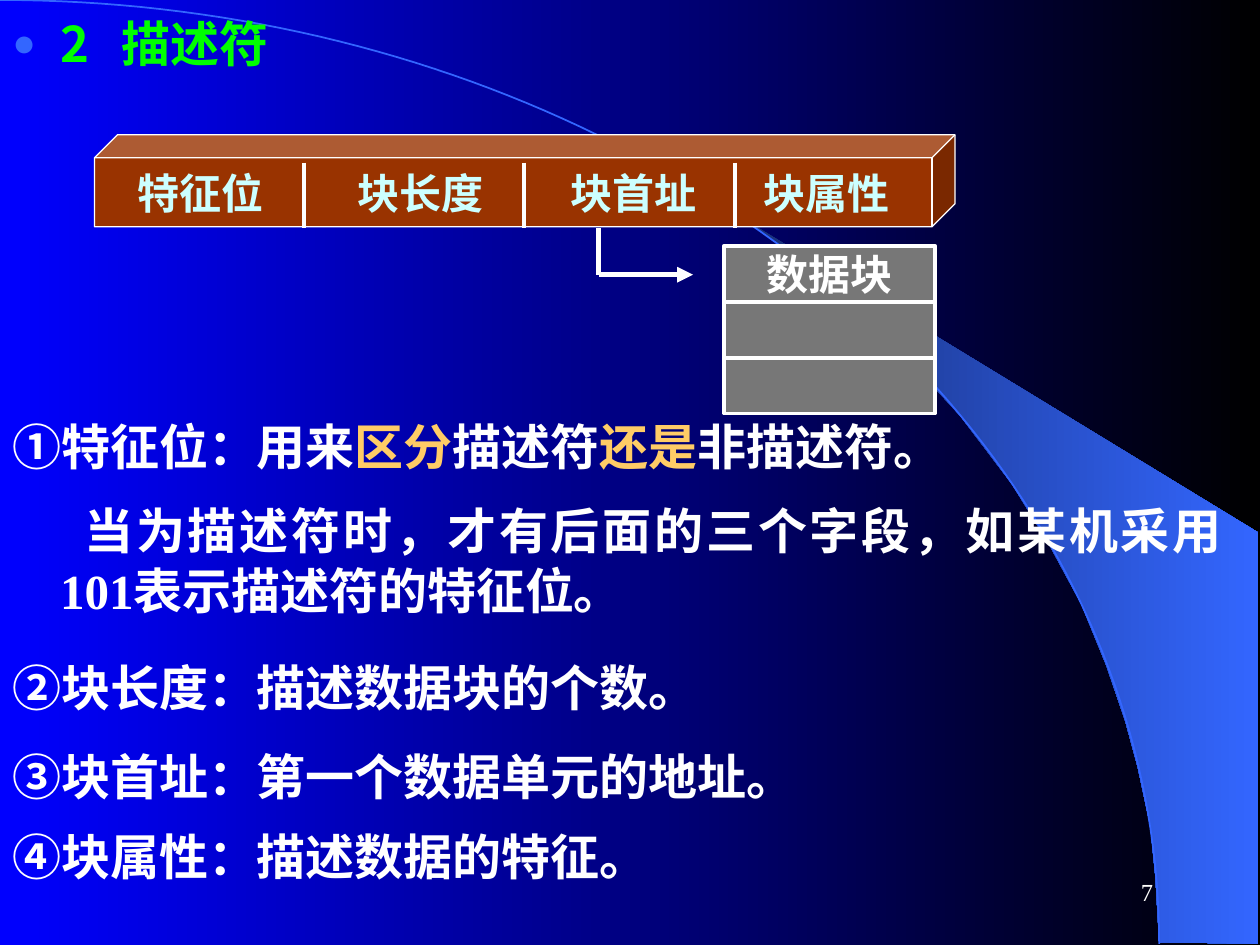
from dataclasses import dataclass
from math import cos, pi, sin

from lxml.etree import SubElement
from pptx import Presentation
from pptx.dml.color import RGBColor
from pptx.enum.shapes import MSO_CONNECTOR, MSO_SHAPE as Shape
from pptx.enum.text import MSO_ANCHOR as Anchor, PP_ALIGN as Align
from pptx.oxml.ns import qn
from pptx.util import Inches, Pt

# The slide is a grid of 100 columns by 75 rows of square cells
COLUMNS, ROWS = 100, 75
WIDTH, HEIGHT = Inches(10), Inches(7.5)

BLUE = RGBColor(0x00, 0x00, 0xFF)
BLACK = RGBColor(0x00, 0x00, 0x00)
NAVY = RGBColor(0x18, 0x2F, 0x76)
SKY = RGBColor(0x33, 0x66, 0xFF)
WHITE = RGBColor(0xFF, 0xFF, 0xFF)
GREEN = RGBColor(0x00, 0xFF, 0x00)
AMBER = RGBColor(0xFF, 0xCC, 0x66)
ICE = RGBColor(0xCC, 0xFF, 0xFF)
BROWN = RGBColor(0x99, 0x33, 0x00)
GREY = RGBColor(0x77, 0x77, 0x77)
LATIN, HAN = "Times New Roman", "Noto Sans CJK SC"


@dataclass(frozen=True)
class Field:
    """One part of the descriptor: label, its centre and its right edge."""
    label: str
    center: float
    edge: float


@dataclass(frozen=True)
class Note:
    """One explanation: its middle row and its (text, colour) pieces."""
    middle: float
    pieces: tuple


FIELDS = (Field("特征位", 15.9, 24.1), Field("块长度", 33.4, 41.6),
          Field("块首址", 50.3, 58.3), Field("块属性", 65.6, 74))
NOTES = (
    Note(35.4, (("①特征位：用来", WHITE), ("区分", AMBER), ("描述符", WHITE),
                ("还是", AMBER), ("非描述符。", WHITE))),
    Note(54.5, (("②块长度：描述数据块的个数。", WHITE),)),
    Note(61.6, (("③块首址：第一个数据单元的地址。", WHITE),)),
    Note(67.9, (("④块属性：描述数据的特征。", WHITE),)),
)
DETAIL = "当为描述符时，才有后面的三个字段，如某机采用101表示描述符的特征位。"
BEAM = ((92, 74.8), (99.9, 74.9), (99.9, 42.3), (58.9, 17.3), (62.4, 19.9),
        (65.3, 22.2), (68.5, 25), (71.6, 28), (76.2, 33), (80.3, 38.4),
        (83.2, 43.1), (85.8, 47.9), (87.8, 52.8), (89.3, 57.2),
        (90.3, 60.9), (91.3, 65.6), (91.7, 69.6), (92, 74.8))


def x(column: float) -> int:
    return round(WIDTH * column / COLUMNS)


def y(row: float) -> int:
    return round(HEIGHT * row / ROWS)


def paint_gradient(fill, start: RGBColor, end: RGBColor) -> None:
    fill.gradient()
    fill.gradient_angle = 0
    for stop, color in zip(fill.gradient_stops, (start, end)):
        stop.color.rgb = color


def style_run(run, color: RGBColor, size: float, bold=True, latin=LATIN) -> None:
    font = run.font
    font.name, font.size, font.bold = latin, Pt(size), bold
    font.color.rgb = color
    SubElement(font._element, qn("a:ea")).set("typeface", HAN)


def add_text(slide, left, middle, width, pieces, size=28, height=6,
             align=Align.LEFT, bold=True, latin=LATIN):
    """Write a paragraph centred on the middle row and return it."""
    box = slide.shapes.add_textbox(x(left), y(middle - height / 2),
                                   x(width), y(height))
    frame = box.text_frame
    frame.word_wrap = True
    frame.vertical_anchor = Anchor.MIDDLE
    paragraph = frame.paragraphs[0]
    paragraph.alignment = align
    for text, color in pieces:
        run = paragraph.add_run()
        run.text = text
        style_run(run, color, size, bold, latin)
    return paragraph


def add_solid(slide, kind, left, top, width, height, fill, weight):
    shape = slide.shapes.add_shape(kind, x(left), y(top), x(width), y(height))
    shape.shadow.inherit = False
    shape.fill.solid()
    shape.fill.fore_color.rgb = fill
    shape.line.color.rgb = WHITE
    shape.line.width = Pt(weight)
    return shape


def add_line(slide, start, end, weight, arrow=False) -> None:
    line = slide.shapes.add_connector(MSO_CONNECTOR.STRAIGHT, x(start[0]),
                                      y(start[1]), x(end[0]), y(end[1]))
    line.line.color.rgb = WHITE
    line.line.width = Pt(weight)
    if arrow:
        SubElement(line.line._get_or_add_ln(), qn("a:tailEnd")).set("type", "triangle")
    SubElement(line._element.spPr, qn("a:effectLst"))


def add_outline(slide, points, close: bool):
    corners = [(x(column), y(row)) for column, row in points]
    builder = slide.shapes.build_freeform(*corners[0])
    builder.add_line_segments(corners[1:], close=close)
    outline = builder.convert_to_shape()
    outline.shadow.inherit = False
    return outline


def draw_backdrop(slide) -> None:
    paint_gradient(slide.background.fill, BLUE, BLACK)
    beam = add_outline(slide, BEAM, close=True)
    paint_gradient(beam.fill, NAVY, SKY)
    beam.line.fill.background()
    # Quarter ellipse from the top left to the bottom right
    steps = 90
    angles = [pi / 2 * step / steps for step in range(steps + 1)]
    arc = add_outline(slide, [(92 * sin(a), 74.9 * (1 - cos(a))) for a in angles],
                      close=False)
    arc.fill.background()
    arc.line.color.rgb = SKY
    arc.line.width = Pt(1)


def draw_title(slide) -> None:
    title = add_text(slide, 0, 3.4, 98, [("2\t描述符", GREEN)], latin=HAN)
    props = title._p.get_or_add_pPr()
    props.set("marL", str(x(3.8)))
    props.set("indent", str(-x(3.8)))
    color = SubElement(SubElement(props, qn("a:buClr")), qn("a:srgbClr"))
    color.set("val", str(SKY))
    SubElement(props, qn("a:buSzPct")).set("val", "80000")
    SubElement(props, qn("a:buFont")).set("typeface", LATIN)
    SubElement(props, qn("a:buChar")).set("char", "●")
    tab = SubElement(SubElement(props, qn("a:tabLst")), qn("a:tab"))
    tab.set("pos", str(x(8.7)))
    tab.set("algn", "l")


def draw_descriptor(slide) -> None:
    add_solid(slide, Shape.CUBE, 7.5, 10.7, 68.3, 7.3, BROWN, 0.75)
    for field in FIELDS:
        add_text(slide, field.center - 8, 15.3, 16, [(field.label, ICE)],
                 size=24, height=5, align=Align.CENTER)
    for field in FIELDS[:-1]:
        add_line(slide, (field.edge, 12.9), (field.edge, 18.1), 2.25)
    # Pointer from the start address to the data block
    add_line(slide, (47.5, 18.1), (47.5, 21.8), 3)
    add_line(slide, (47.5, 21.8), (55, 21.8), 3, arrow=True)


def draw_data_block(slide) -> None:
    cells = [add_solid(slide, Shape.RECTANGLE, 57.5, 19.5 + 4.44 * row, 16.7,
                       4.44, GREY, 2.25) for row in range(3)]
    frame = cells[0].text_frame
    frame.text = "数据块"
    frame.word_wrap = False
    frame.vertical_anchor = Anchor.MIDDLE
    frame.paragraphs[0].alignment = Align.CENTER
    style_run(frame.paragraphs[0].runs[0], WHITE, 24)


def draw_notes(slide) -> None:
    for note in NOTES:
        add_text(slide, 0, note.middle, 90, note.pieces)
    detail = add_text(slide, 0, 44.4, 98, [(DETAIL, WHITE)], height=10.5,
                      align=Align.JUSTIFY)
    detail.line_spacing = Pt(34)
    props = detail._p.get_or_add_pPr()
    props.set("marL", str(x(3.8)))
    props.set("indent", str(x(1.9)))


def main() -> None:
    deck = Presentation()
    deck.slide_width, deck.slide_height = WIDTH, HEIGHT
    slide = deck.slides.add_slide(deck.slide_layouts[6])
    draw_backdrop(slide)
    draw_title(slide)
    draw_descriptor(slide)
    draw_data_block(slide)
    draw_notes(slide)
    # Page number
    add_text(slide, 71.7, 70.8, 20.8, [("7", WHITE)], size=14, height=5,
             align=Align.RIGHT, bold=False)
    deck.save("out.pptx")


if __name__ == "__main__":
    main()
